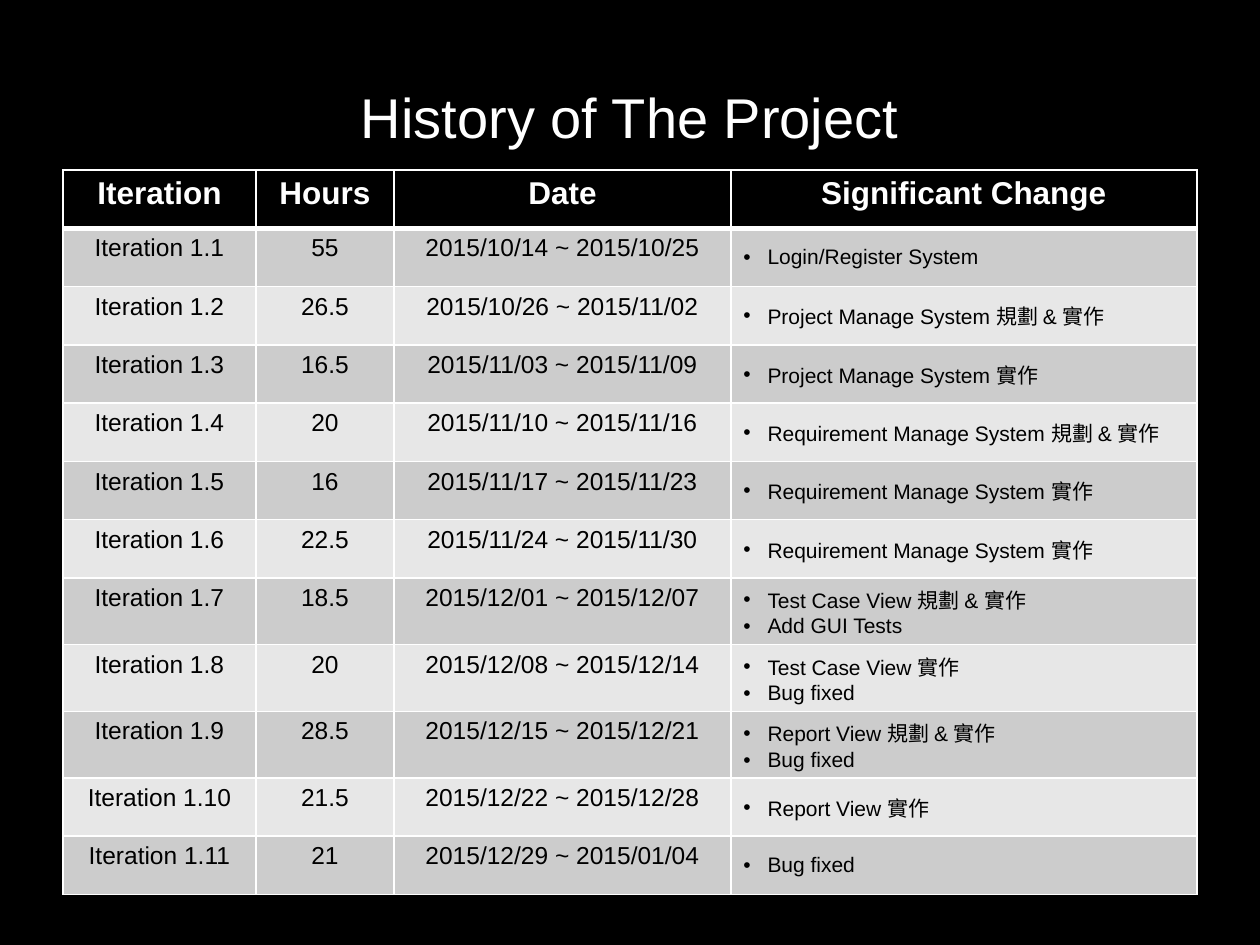
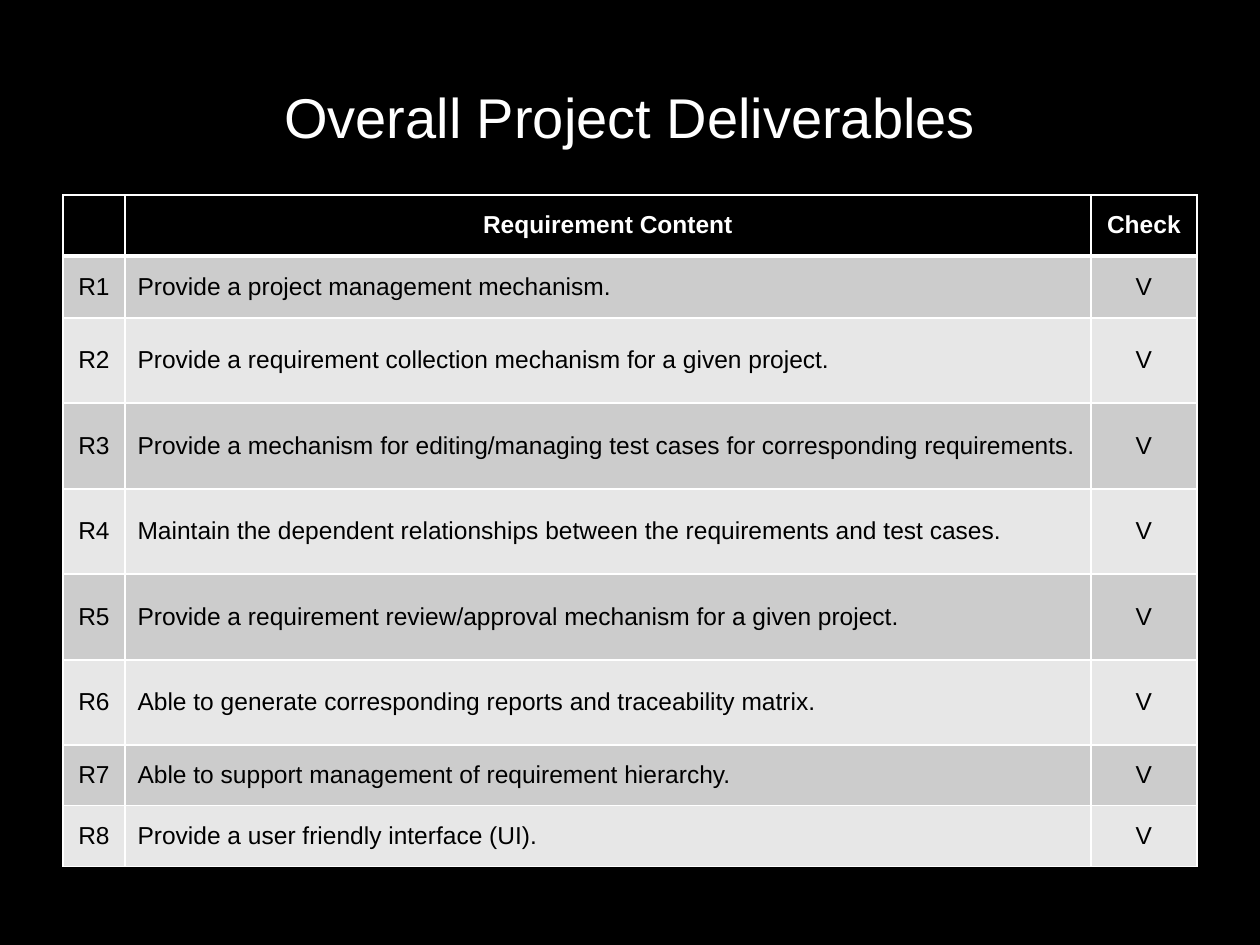
from itertools import pairwise

from lxml import etree
from pptx import Presentation
from pptx.dml.color import RGBColor
from pptx.enum.text import MSO_ANCHOR, PP_ALIGN
from pptx.oxml.ns import qn
from pptx.util import Pt

PIXEL = 914400 // 126
CENTER, LEFT = PP_ALIGN.CENTER, PP_ALIGN.LEFT
TOP, MIDDLE = MSO_ANCHOR.TOP, MSO_ANCHOR.MIDDLE
TITLE_ONLY = 5

FONT = "Arial"
COLORS = {
    "black": "000000",
    "white": "FFFFFF",
    "odd_row": "CCCCCC",
    "even_row": "E7E7E7",
}
MARGIN = 63
CONTENT_WIDTH = 1134
BULLET_INDENT = 24

# Hours, period and changes of each iteration
ITERATIONS = [
    ("55", "2015/10/14 ~ 2015/10/25", "Login/Register System"),
    ("26.5", "2015/10/26 ~ 2015/11/02", "Project Manage System 規劃 & 實作"),
    ("16.5", "2015/11/03 ~ 2015/11/09", "Project Manage System 實作"),
    ("20", "2015/11/10 ~ 2015/11/16", "Requirement Manage System 規劃 & 實作"),
    ("16", "2015/11/17 ~ 2015/11/23", "Requirement Manage System 實作"),
    ("22.5", "2015/11/24 ~ 2015/11/30", "Requirement Manage System 實作"),
    ("18.5", "2015/12/01 ~ 2015/12/07", "Test Case View 規劃 & 實作\nAdd GUI Tests"),
    ("20", "2015/12/08 ~ 2015/12/14", "Test Case View 實作\nBug fixed"),
    ("28.5", "2015/12/15 ~ 2015/12/21", "Report View 規劃 & 實作\nBug fixed"),
    ("21.5", "2015/12/22 ~ 2015/12/28", "Report View 實作"),
    ("21", "2015/12/29 ~ 2015/01/04", "Bug fixed"),
]

REQUIREMENTS = [
    "Provide a project management mechanism.",
    "Provide a requirement collection mechanism for a given project.",
    "Provide a mechanism for editing/managing test cases for corresponding requirements.",
    "Maintain the dependent relationships between the requirements and test cases.",
    "Provide a requirement review/approval mechanism for a given project.",
    "Able to generate corresponding reports and traceability matrix.",
    "Able to support management of requirement hierarchy.",
    "Provide a user friendly interface (UI).",
]


def px(length):
    return round(length * PIXEL)


def rgb(name):
    return RGBColor.from_string(COLORS[name])


def format_text(text_frame, size, color, align, bold=False):
    for paragraph in text_frame.paragraphs:
        paragraph.alignment = align
        for run in paragraph.runs:
            run.font.name = FONT
            run.font.size = Pt(size)
            run.font.bold = bold
            run.font.color.rgb = rgb(color)


def add_bullets(text_frame):
    for paragraph in text_frame.paragraphs:
        properties = paragraph._p.get_or_add_pPr()
        properties.set("marL", str(px(BULLET_INDENT)))
        properties.set("indent", str(-px(BULLET_INDENT)))
        etree.SubElement(properties, qn("a:buFont"), typeface=FONT)
        etree.SubElement(properties, qn("a:buChar"), char="•")


def add_border(cell, side, width):
    properties = cell._tc.get_or_add_tcPr()
    line = etree.SubElement(properties, qn(f"a:ln{side}"), w=str(Pt(width)))
    fill = etree.SubElement(line, qn("a:solidFill"))
    etree.SubElement(fill, qn("a:srgbClr"), val=COLORS["white"])


def style_cell(cell, row):
    """Draw white borders, thick under the header, and the banded fill."""
    widths = {"L": 1, "R": 1, "T": 3 if row == 1 else 1, "B": 3 if row == 0 else 1}
    for side, width in widths.items():
        add_border(cell, side, width)
    cell.fill.solid()
    if row == 0:
        cell.fill.fore_color.rgb = rgb("black")
    else:
        cell.fill.fore_color.rgb = rgb("odd_row" if row % 2 else "even_row")


def add_titled_slide(presentation, title):
    slide = presentation.slides.add_slide(presentation.slide_layouts[TITLE_ONLY])
    shape = slide.shapes.title
    shape.left, shape.top = px(MARGIN), px(38)
    shape.width, shape.height = px(CONTENT_WIDTH), px(157)
    shape.text_frame.text = title
    shape.text_frame.vertical_anchor = MIDDLE
    format_text(shape.text_frame, 32, "white", CENTER)
    return slide


def add_grid(slide, rows, top, height, column_widths):
    """Add a filled and bordered table with equal rows."""
    table = slide.shapes.add_table(
        len(rows), len(column_widths),
        px(MARGIN), px(top), px(CONTENT_WIDTH), px(height)).table
    for column, width in zip(table.columns, column_widths):
        column.width = px(width)
    for row_index, row in enumerate(rows):
        for column_index, text in enumerate(row):
            cell = table.cell(row_index, column_index)
            cell.text_frame.text = text
            style_cell(cell, row_index)
    return table


def format_cell(cell, size, header, align, anchor):
    cell.vertical_anchor = anchor
    format_text(cell.text_frame, size, "white" if header else "black", align, header)


def build_history(presentation):
    slide = add_titled_slide(presentation, "History of The Project")
    rows = [("Iteration", "Hours", "Date", "Significant Change")]
    rows += [(f"Iteration 1.{number}", *details)
             for number, details in enumerate(ITERATIONS, 1)]
    table = add_grid(slide, rows, 170, 700, (193, 138, 337, 466))
    for row_index, row in enumerate(table.rows):
        header = row_index == 0
        for column_index, cell in enumerate(row.cells):
            if column_index == 3 and not header:
                format_cell(cell, 12, header, LEFT, MIDDLE)
                add_bullets(cell.text_frame)
            else:
                format_cell(cell, 18 if header else 14, header, CENTER, TOP)


def build_deliverables(presentation):
    slide = add_titled_slide(presentation, "Overall Project Deliverables")
    rows = [("", "Requirement Content", "Check")]
    rows += [(f"R{number}", content, "V")
             for number, content in enumerate(REQUIREMENTS, 1)]
    edges = (195, 256, 318, 403, 489, 574, 660, 745, 806, 867)
    table = add_grid(slide, rows, edges[0], edges[-1] - edges[0], (62, 966, 106))
    for row, (top, bottom) in zip(table.rows, pairwise(edges)):
        row.height = px(bottom - top)
    for row_index, row in enumerate(table.rows):
        header = row_index == 0
        for column_index, cell in enumerate(row.cells):
            align = LEFT if column_index == 1 and not header else CENTER
            format_cell(cell, 14, header, align, MIDDLE)


def main():
    presentation = Presentation()
    presentation.slide_width, presentation.slide_height = px(1260), px(945)
    # Shared black background
    background = presentation.slide_master.background.fill
    background.solid()
    background.fore_color.rgb = rgb("black")

    build_history(presentation)
    build_deliverables(presentation)
    presentation.save("out.pptx")


main()
